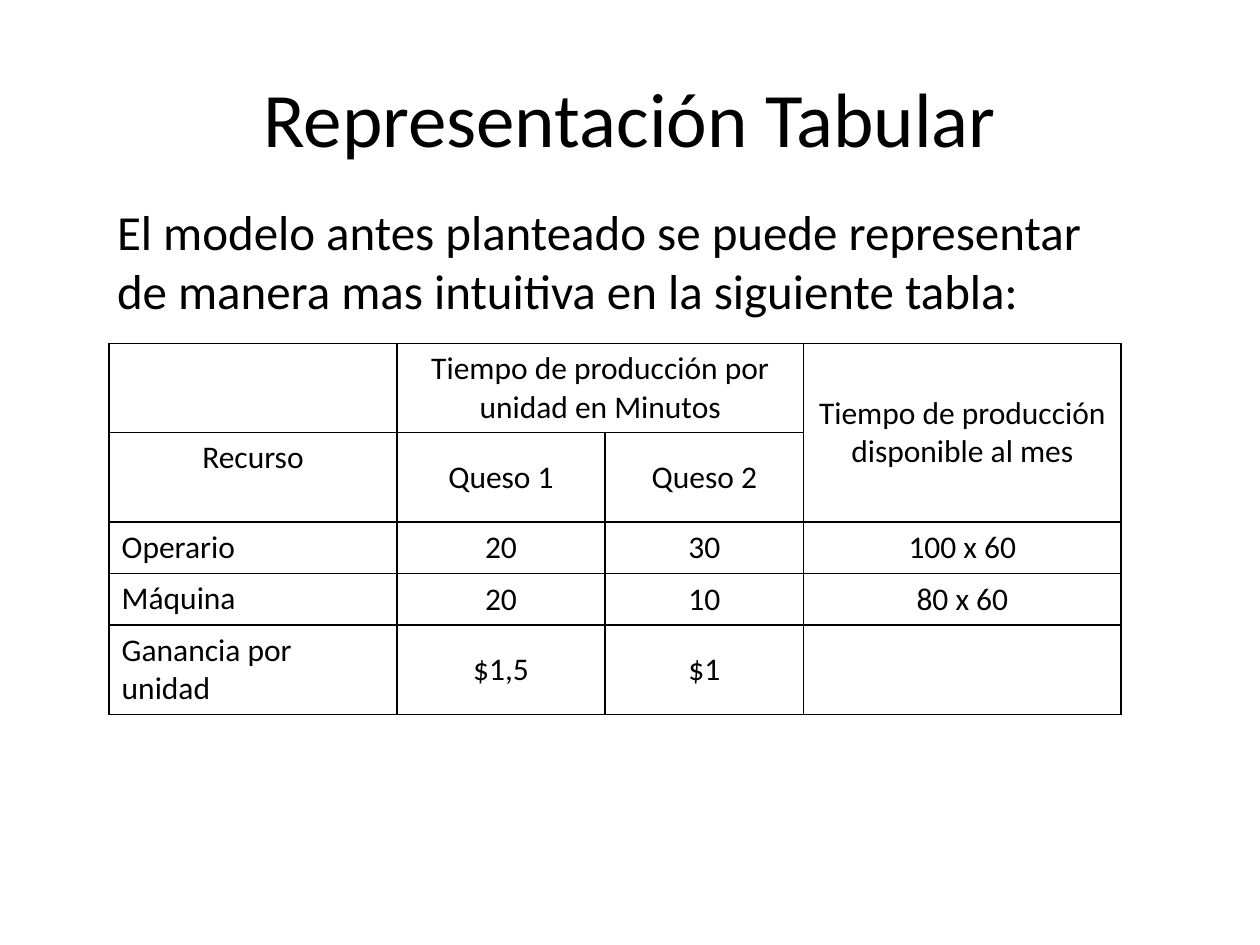
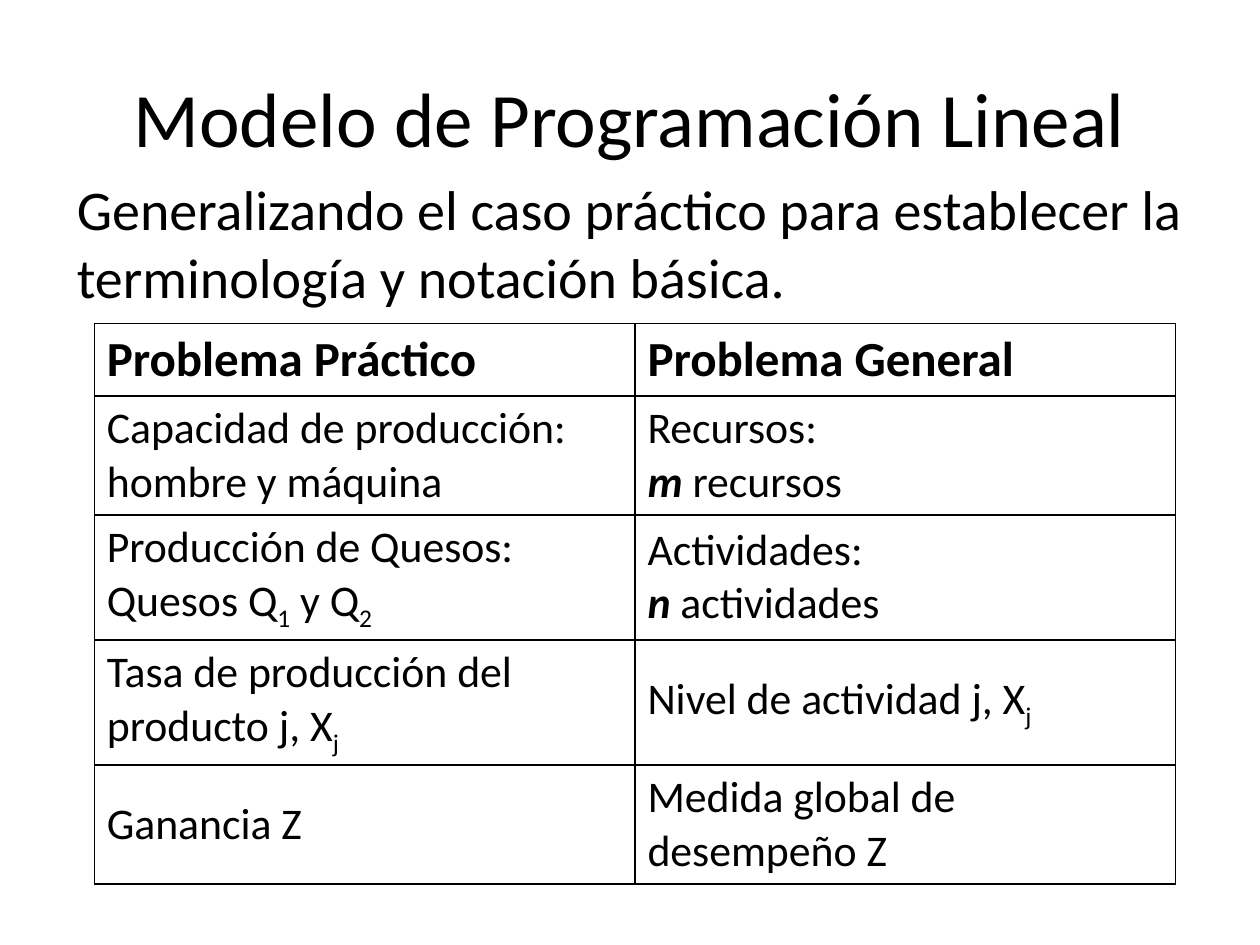
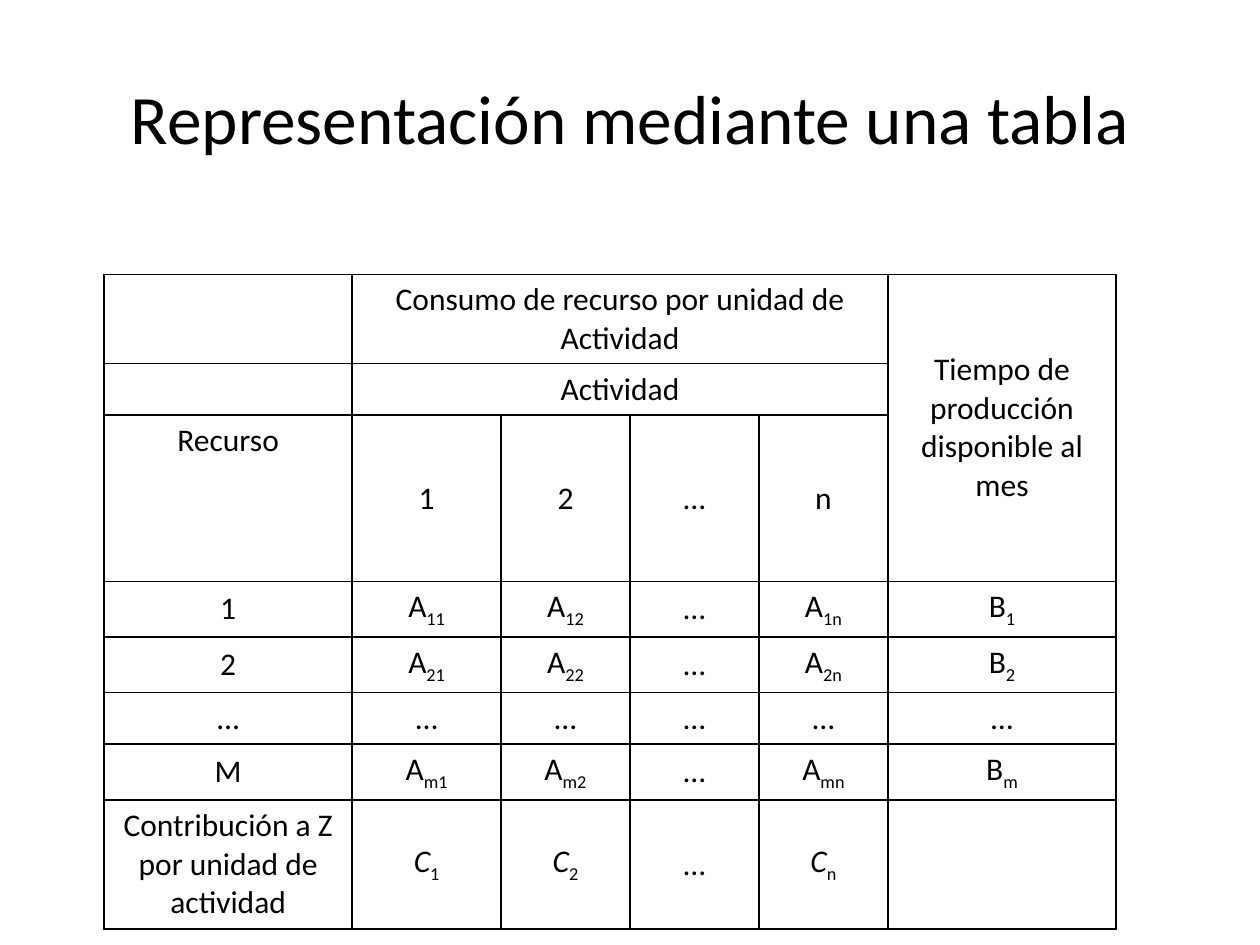
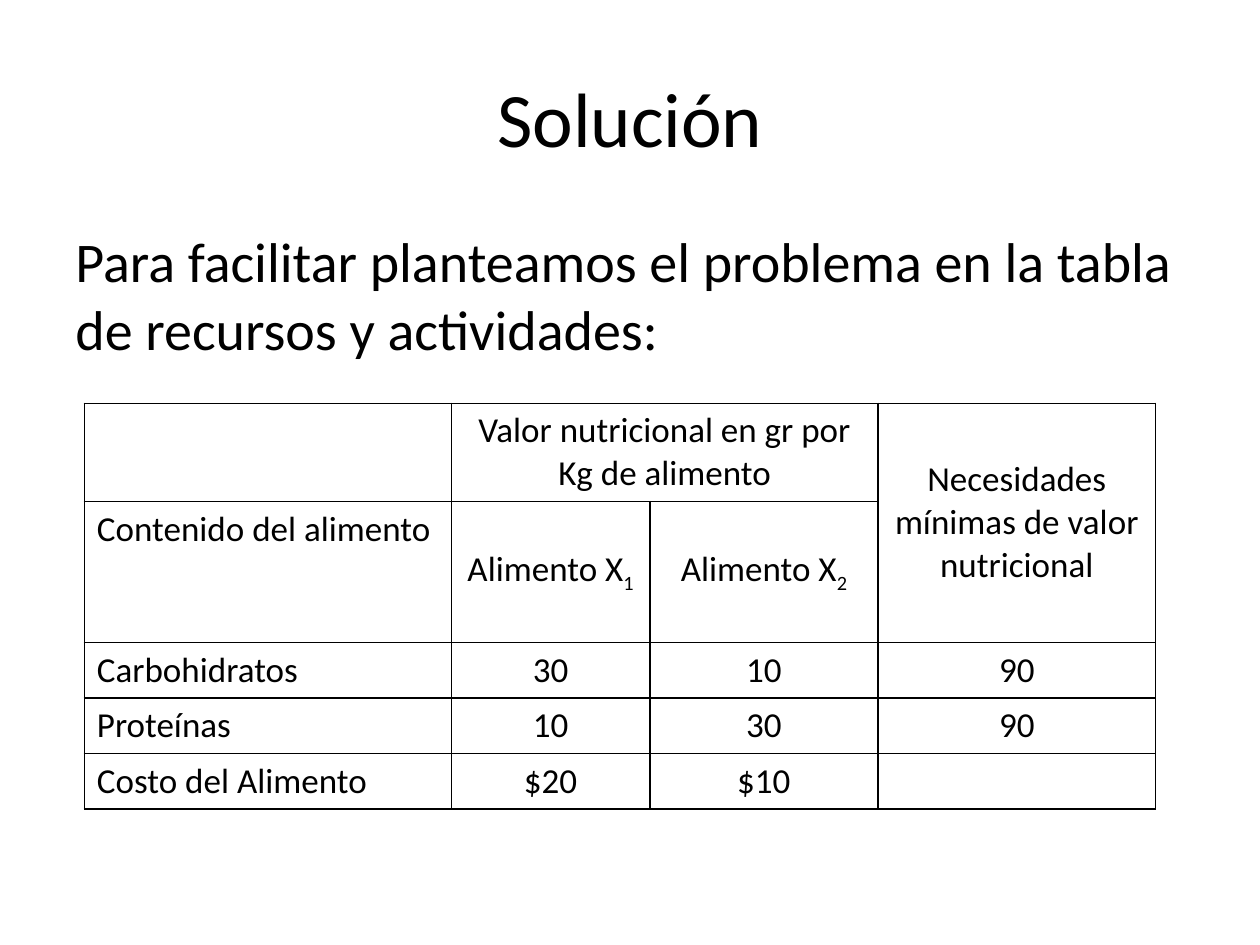
from lxml import etree
from pptx import Presentation
from pptx.dml.color import RGBColor
from pptx.enum.text import MSO_ANCHOR, PP_ALIGN
from pptx.oxml.ns import qn
from pptx.util import Cm, Pt

LEFT, CENTER = PP_ALIGN.LEFT, PP_ALIGN.CENTER
TOP, MIDDLE = MSO_ANCHOR.TOP, MSO_ANCHOR.MIDDLE
FONT = "Calibri"
BLACK = "000000"
MARKS = "*/~"  # switch bold, italic and subscript on or off


def write(tf, text, size, align=LEFT, anchor=TOP):
    """Fill a text frame, one paragraph a line, applying the MARKS."""
    tf.word_wrap = True
    tf.vertical_anchor = anchor
    for i, line in enumerate(text.split("\n")):
        p = tf.add_paragraph() if i else tf.paragraphs[0]
        p.alignment = align
        p.font.name, p.font.size = FONT, Pt(size)
        p.font.color.rgb = RGBColor.from_string(BLACK)
        for mark in MARKS:
            line = line.replace(mark, f"|{mark}|")
        active = set()
        for piece in filter(None, line.split("|")):
            if piece in MARKS:
                active ^= {piece}
                continue
            r = p.add_run()
            r.text = piece
            if "*" in active:
                r.font.bold = True
            if "/" in active:
                r.font.italic = True
            if "~" in active:
                r.font._element.set("baseline", "-25000")


def style_cell(cell):
    """No fill and a 1 pt black line on all four sides."""
    cell.fill.background()
    tcPr = cell._tc.get_or_add_tcPr()
    for i, side in enumerate(("a:lnL", "a:lnR", "a:lnT", "a:lnB")):
        ln = etree.Element(qn(side), w=str(Pt(1)))
        fill = etree.SubElement(ln, qn("a:solidFill"))
        etree.SubElement(fill, qn("a:srgbClr"), val=BLACK)
        tcPr.insert(i, ln)


# Slide contents: lengths in cm, merges as first row, column, last row, column
slides = [
    {
        "title": "Representación Tabular",
        "intro": "El modelo antes planteado se puede representar de manera mas "
                 "intuitiva en la siguiente tabla:",
        "intro_box": (2.11, 3.94, 20.6, 2.64), "intro_size": 28,
        "at": (2.2, 6.92), "size": 18, "aligns": "lccc",
        "cols": [5.8, 4.2, 4, 6.4],
        "rows": [1.8, 1.8, 1.04, 1.04, 1.8],
        "merges": [(0, 1, 0, 2), (0, 3, 1, 3)],
        "cells": [
            ["", "Tiempo de producción por unidad en Minutos", "",
             "Tiempo de producción disponible al mes"],
            ["Recurso", "Queso 1", "Queso 2", ""],
            ["Operario", "20", "30", "100 x 60"],
            ["Máquina", "20", "10", "80 x 60"],
            ["Ganancia por unidad", "$1,5", "$1", ""],
        ],
    },
    {
        "title": "Modelo de Programación Lineal",
        "intro": "Generalizando el caso práctico para establecer la "
                 "terminología y notación básica.",
        "intro_box": (1.3, 3.4, 22.86, 3.07), "intro_size": 32,
        "at": (1.9, 6.52), "size": 25, "header_size": 28, "aligns": "ll",
        "cols": [10.9, 10.9],
        "rows": [1.46, 2.4, 2.52, 2.52, 2.4],
        "merges": [],
        "cells": [
            ["*Problema Práctico*", "*Problema General*"],
            ["Capacidad de producción: hombre y máquina",
             "Recursos:\n*/m/* recursos"],
            ["Producción de Quesos:\nQuesos Q~1~ y Q~2~",
             "Actividades:\n*/n/* actividades"],
            ["Tasa de producción del producto j, X~j~",
             "Nivel de actividad j, X~j~"],
            ["Ganancia Z", "Medida global de desempeño Z"],
        ],
    },
    {
        "title": "Representación mediante una tabla", "title_size": 39.6,
        "at": (2.1, 5.53), "size": 18, "aligns": "cccccc",
        "cols": [5, 3, 2.6, 2.6, 2.6, 4.6],
        "rows": [1.8, 1.04, 3.35, 1.11, 1.11, 1.04, 1.11, 2.6],
        "merges": [(0, 1, 0, 4), (1, 1, 1, 4), (0, 5, 2, 5)],
        "cells": [
            ["", "Consumo de recurso por unidad de Actividad", "", "", "",
             "Tiempo de producción disponible al mes"],
            ["", "Actividad", "", "", "", ""],
            ["Recurso", "1", "2", "…", "n", ""],
            ["1", "A~11~", "A~12~", "…", "A~1n~", "B~1~"],
            ["2", "A~21~", "A~22~", "…", "A~2n~", "B~2~"],
            ["…"] * 6,
            ["M", "A~m1~", "A~m2~", "…", "A~mn~", "B~m~"],
            ["Contribución a Z por unidad de actividad",
             "/C/~1~", "/C/~2~", "…", "/C/~n~", ""],
        ],
    },
    {
        "title": "Solución",
        "intro": "Para facilitar planteamos el problema en la tabla de "
                 "recursos y actividades:",
        "intro_box": (1.27, 4.45, 22.86, 3.68), "intro_size": 32,
        "at": (1.7, 8.13), "size": 20, "aligns": "lccc",
        "cols": [7.4, 4, 4.6, 5.6],
        "rows": [1.98, 2.84, 1.12, 1.12, 1.12],
        "merges": [(0, 1, 0, 2), (0, 3, 1, 3)],
        "cells": [
            ["", "Valor nutricional en gr por Kg de alimento", "",
             "Necesidades mínimas de valor nutricional"],
            ["Contenido del alimento", "Alimento X~1~", "Alimento X~2~", ""],
            ["Carbohidratos", "30", "10", "90"],
            ["Proteínas", "10", "30", "90"],
            ["Costo del Alimento", "$20", "$10", ""],
        ],
    },
]

prs = Presentation()
prs.slide_width, prs.slide_height = Cm(25.4), Cm(19.05)

for data in slides:
    s = prs.slides.add_slide(prs.slide_layouts[6])

    # Title and introduction
    sp = s.shapes.add_textbox(Cm(1.27), Cm(0.76), Cm(22.86), Cm(3.18))
    write(sp.text_frame, data["title"], data.get("title_size", 44), CENTER, MIDDLE)
    if "intro" in data:
        sp = s.shapes.add_textbox(*map(Cm, data["intro_box"]))
        write(sp.text_frame, data["intro"], data["intro_size"])

    # Table grid
    cols, rows, aligns = data["cols"], data["rows"], data["aligns"]
    left, top = data["at"]
    table = s.shapes.add_table(len(rows), len(cols), Cm(left), Cm(top),
                               Cm(sum(cols)), Cm(sum(rows))).table
    table.first_row = table.horz_banding = False
    for column, width in zip(table.columns, cols):
        column.width = Cm(width)
    for row, height in zip(table.rows, rows):
        row.height = Cm(height)
    for r1, c1, r2, c2 in data["merges"]:
        table.cell(r1, c1).merge(table.cell(r2, c2))

    # Table text
    for i, texts in enumerate(data["cells"]):
        size = data.get("header_size", data["size"]) if i == 0 else data["size"]
        for j, text in enumerate(texts):
            cell = table.cell(i, j)
            style_cell(cell)
            resource = text == "Recurso"
            align = LEFT if aligns[j] == "l" and not resource else CENTER
            on_top = resource or (aligns == "lccc" and j == 0)
            write(cell.text_frame, text, size, align)
            cell.vertical_anchor = TOP if on_top else MIDDLE

prs.save("out.pptx")
